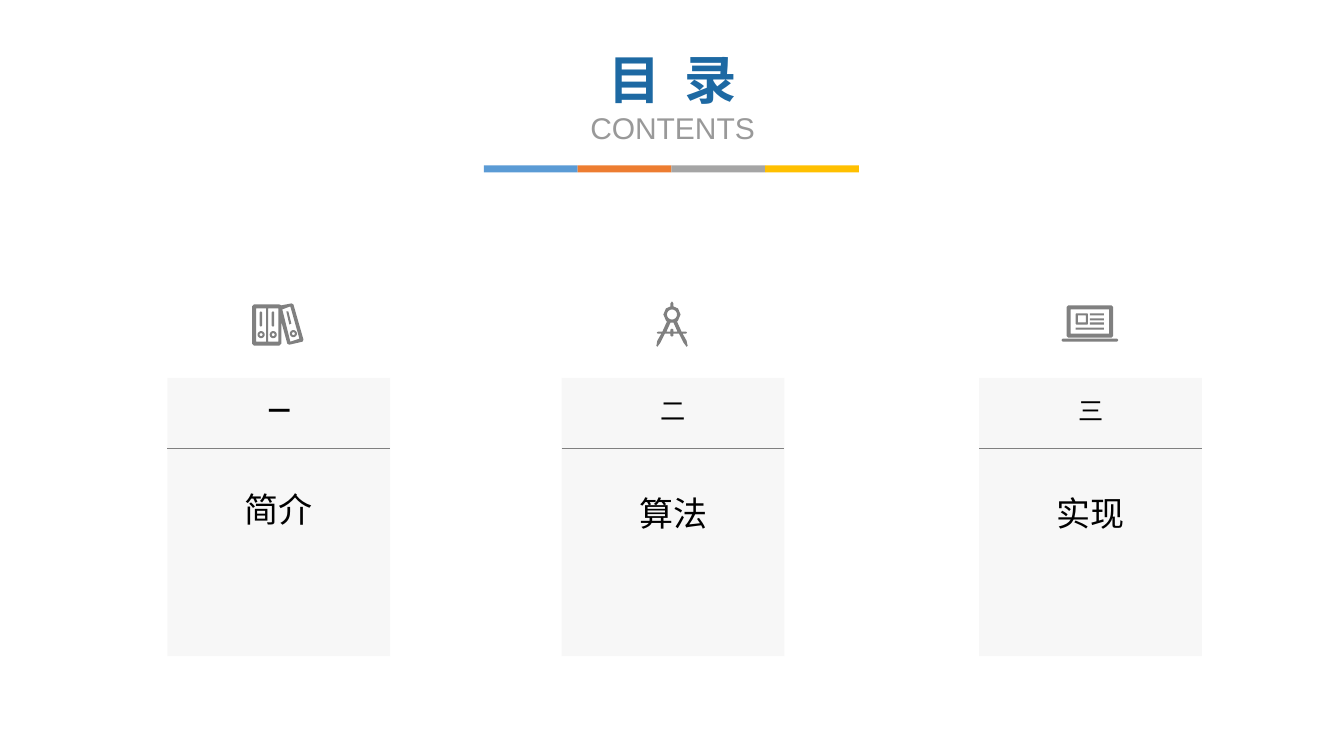
from dataclasses import dataclass
from math import cos, pi, sin

from lxml import etree
from pptx import Presentation
from pptx.dml.color import RGBColor
from pptx.enum.shapes import MSO_CONNECTOR, MSO_SHAPE
from pptx.enum.text import MSO_ANCHOR, MSO_AUTO_SIZE, PP_ALIGN
from pptx.oxml.ns import qn
from pptx.util import Inches, Pt

STRAIGHT = MSO_CONNECTOR.STRAIGHT
RECTANGLE = MSO_SHAPE.RECTANGLE
MIDDLE = MSO_ANCHOR.MIDDLE
NO_AUTOSIZE = MSO_AUTO_SIZE.NONE
CENTER = PP_ALIGN.CENTER

CJK, HEADING, LATIN = "Noto Sans CJK SC", "Roboto Condensed", "Arial"
GRAY, BLACK = "808080", "000000"
STRIPE_COLORS = ["5B9BD5", "ED7D31", "A5A5A5", "FFC000"]
CARD_WIDTH, CARD_TOP, CARD_HEIGHT, RULE_TOP = 2.21, 3.75, 2.76, 4.45

Contour = list[tuple[float, float]]


@dataclass
class TextStyle:
    size: float
    font: str
    color: str = BLACK
    bold: bool = False
    line_spacing: float = 1.0


@dataclass
class Card:
    left: float
    numeral: str
    numeral_style: TextStyle
    label: str
    label_top: float
    icon: list[Contour]


def rgb(color: str) -> RGBColor:
    return RGBColor.from_string(color)


def block(left: float, top: float, right: float, bottom: float, cut: float = 0.0) -> Contour:
    if not cut:
        return [(left, top), (right, top), (right, bottom), (left, bottom)]
    return [(left + cut, top), (right - cut, top), (right, top + cut), (right, bottom - cut),
            (right - cut, bottom), (left + cut, bottom), (left, bottom - cut), (left, top + cut)]


def circle(x: float, y: float, radius: float) -> Contour:
    steps = [2 * pi * step / 24 for step in range(24)]
    return [(x + radius * cos(angle), y + radius * sin(angle)) for angle in steps]


def ring(x: float, y: float, outer: float, inner: float) -> list[Contour]:
    return [circle(x, y, outer), circle(x, y, inner)]


def binders_icon() -> list[Contour]:
    outline = [(2.52, 3.02), (2.77, 3.02), (2.79, 3.03), (2.89, 3.01), (2.91, 3.02),
               (3.01, 3.37), (3.0, 3.39), (2.87, 3.42), (2.85, 3.41), (2.79, 3.19),
               (2.79, 3.41), (2.77, 3.43), (2.52, 3.43), (2.5, 3.41), (2.5, 3.04)]
    contours = [outline, [(2.8, 3.07), (2.88, 3.04), (2.97, 3.36), (2.88, 3.39)],
                [(2.84, 3.09), (2.86, 3.09), (2.89, 3.21), (2.87, 3.22)],
                *ring(2.91, 3.31, 0.035, 0.015)]
    for left in (2.54, 2.66):
        contours += [block(left, 3.06, left + 0.1, 3.39),
                     block(left + 0.035, 3.09, left + 0.06, 3.24, 0.01),
                     *ring(left + 0.05, 3.32, 0.035, 0.015)]
    return contours


def compass_icon() -> list[Contour]:
    axis = 6.665
    right_half = [(0.0, 2.99), (0.015, 3.01), (0.015, 3.04), (0.06, 3.06), (0.085, 3.12),
                  (0.06, 3.18), (0.05, 3.19), (0.095, 3.29), (0.14, 3.29), (0.15, 3.3),
                  (0.14, 3.31), (0.105, 3.31), (0.145, 3.38), (0.155, 3.43), (0.145, 3.44),
                  (0.115, 3.4), (0.07, 3.31), (0.015, 3.31), (0.015, 3.33), (0.0, 3.34)]
    inner_half = [(0.0, 3.2), (0.015, 3.2), (0.055, 3.29), (0.015, 3.29), (0.015, 3.27),
                  (0.0, 3.26)]
    contours = [[(axis + x, y) for x, y in half] + [(axis - x, y) for x, y in reversed(half)]
                for half in (right_half, inner_half)]
    return contours + [circle(axis, 3.12, 0.05)]


def laptop_icon() -> list[Contour]:
    lines = [block(10.81, top, 10.95, top + 0.02) for top in (3.11, 3.16, 3.2)]
    return [block(10.58, 3.03, 11.04, 3.35, 0.015), block(10.62, 3.07, 11.0, 3.31),
            block(10.67, 3.11, 10.79, 3.22, 0.005), block(10.69, 3.13, 10.77, 3.2),
            *lines, block(10.67, 3.25, 10.95, 3.27), block(10.53, 3.36, 11.09, 3.39, 0.012)]


def paint(shape, color: str, opacity: int = 100) -> None:
    shape.shadow.inherit = False
    shape.line.fill.background()
    shape.fill.solid()
    shape.fill.fore_color.rgb = rgb(color)
    if opacity < 100:
        tint = shape.fill._xPr.find(".//" + qn("a:srgbClr"))
        etree.SubElement(tint, qn("a:alpha"), val=str(opacity * 1000))


def add_rectangle(page, left: float, top: float, width: float, height: float,
                  color: str, opacity: int = 100) -> None:
    box = page.shapes.add_shape(RECTANGLE, *map(Inches, (left, top, width, height)))
    paint(box, color, opacity)


def add_rule(page, left: float) -> None:
    rule = page.shapes.add_connector(STRAIGHT, *map(Inches, (left, RULE_TOP, left + CARD_WIDTH,
                                                             RULE_TOP)))
    rule.line.color.rgb = rgb(GRAY)
    rule.line.width = Pt(0.5)
    etree.SubElement(rule._element.spPr, qn("a:effectLst"))


def add_icon(page, contours: list[Contour]) -> None:
    outlines = [[(Inches(x), Inches(y)) for x, y in contour] for contour in contours]
    builder = page.shapes.build_freeform(*outlines[0][0])
    for outline in outlines:
        builder.move_to(*outline[0])
        builder.add_line_segments(outline[1:], close=True)
    paint(builder.convert_to_shape(), GRAY)


def format_frame(frame, wrap: bool) -> None:
    values = {"word_wrap": wrap, "auto_size": NO_AUTOSIZE, "vertical_anchor": MIDDLE,
              "margin_left": Inches(0.1), "margin_right": Inches(0.1),
              "margin_top": Inches(0.05), "margin_bottom": Inches(0.05)}
    for name, value in values.items():
        setattr(frame, name, value)


def write(para, text: str, style: TextStyle):
    layout = {"alignment": CENTER, "line_spacing": style.line_spacing,
              "space_before": Pt(0), "space_after": Pt(0)}
    for name, value in layout.items():
        setattr(para, name, value)
    span = para.add_run()
    span.text = text
    for name, value in {"size": Pt(style.size), "name": style.font, "bold": style.bold}.items():
        setattr(span.font, name, value)
    span.font.color.rgb = rgb(style.color)
    etree.SubElement(span.font._element, qn("a:ea"), typeface=style.font)
    return span


def add_text(page, left: float, top: float, width: float, height: float,
             text: str, style: TextStyle) -> None:
    box = page.shapes.add_textbox(*map(Inches, (left, top, width, height)))
    format_frame(box.text_frame, False)
    write(box.text_frame.paragraphs[0], text, style)


def add_heading(page) -> None:
    title = page.shapes.title
    place = {"left": 5.59, "top": 0.46, "width": 2.16, "height": 0.99}
    for name, value in place.items():
        setattr(title, name, Inches(value))
    format_frame(title.text_frame, True)
    heading_style = TextStyle(37.4, HEADING, "1D69A3", True)
    first = title.text_frame.paragraphs[0]
    write(first, "目", heading_style)
    gap = write(first, " ", heading_style)
    gap.font._element.set("spc", "840")
    write(first, "录", heading_style)
    write(title.text_frame.add_paragraph(), "CONTENTS", TextStyle(21.4, LATIN, "999999"))


def add_card(page, card: Card) -> None:
    add_rectangle(page, card.left, CARD_TOP, CARD_WIDTH, CARD_HEIGHT, "D9D9D9", 20)
    add_rule(page, card.left)
    add_icon(page, card.icon)
    middle = card.left + CARD_WIDTH / 2
    add_text(page, middle - 0.22, 3.88, 0.45, 0.38, card.numeral, card.numeral_style)
    add_text(page, middle - 0.44, card.label_top, 0.88, 0.64, card.label,
             TextStyle(24.3, CJK, line_spacing=1.5))


def main() -> None:
    deck = Presentation()
    deck.slide_width, deck.slide_height = Inches(13.33), Inches(7.5)
    page = deck.slides.add_slide(deck.slide_layouts[5])
    add_heading(page)
    for index, color in enumerate(STRIPE_COLORS):
        add_rectangle(page, 4.8 + index * 0.93, 1.64, 0.93, 0.07, color)
    regular = TextStyle(18, CJK)
    cards = [Card(1.66, "一", TextStyle(16, HEADING, bold=True), "简介", 4.63, binders_icon()),
             Card(5.57, "二", regular, "算法", 4.67, compass_icon()),
             Card(9.71, "三", regular, "实现", 4.67, laptop_icon())]
    for card in cards:
        add_card(page, card)
    deck.save("out.pptx")


if __name__ == "__main__":
    main()
